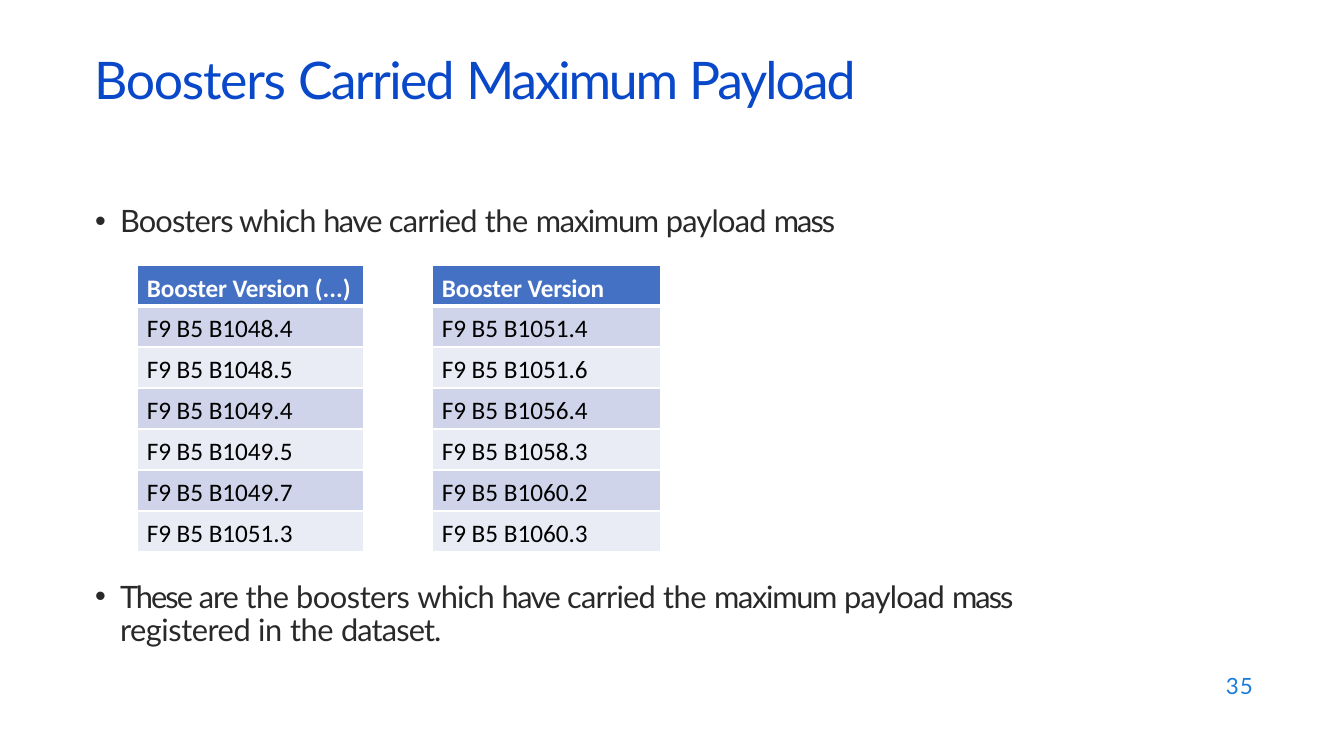
from lxml import etree
from pptx import Presentation
from pptx.dml.color import RGBColor
from pptx.enum.text import MSO_ANCHOR, MSO_AUTO_SIZE, PP_ALIGN
from pptx.oxml.ns import qn
from pptx.util import Emu, Pt

TOP, NO_FIT, LEFT = MSO_ANCHOR.TOP, MSO_AUTO_SIZE.NONE, PP_ALIGN.LEFT
PX_PER_INCH = 100.8
COLORS = {
    "title": "0A48CA", "body": "292929", "number": "1C7CDB",
    "header": "4471C4", "odd": "CFD4EA", "even": "E9EBF5",
    "white": "FFFFFF", "black": "000000",
}
LATO, CALIBRI = "Lato", "Calibri"

# Runs are (text, letter spacing in points).
TITLE = [("Boosters ", -0.9), ("Carried ", -1.2), ("Maximum ", -1.6), ("Payload", -1.4)]
CARRIED = [("have ", -1.1), ("carried ", -0.5), ("the ", -0.3), ("maximum ", -0.9),
           ("payload ", -0.5)]
INTRO = [("Boosters which ", -0.6), *CARRIED, ("mass", -1.4)]
CONCLUSION = [("These ", -1.4), ("are ", -0.8), ("the boosters ", -0.3), ("which ", -0.6),
              *CARRIED, ("mass ", -1.4), ("registered ", -0.3), ("in ", -0.2),
              ("the ", -0.3), ("dataset.", -0.6)]
HEADER = [("Booster ", -0.1), ("Version", -0.2)]
LEFT_BOOSTERS = ["B1048.4", "B1048.5", "B1049.4", "B1049.5", "B1049.7", "B1051.3"]
RIGHT_BOOSTERS = ["B1051.4", "B1051.6", "B1056.4", "B1058.3", "B1060.2", "B1060.3"]


def px(n):
    return Emu(round(n * 914400 / PX_PER_INCH))


def rgb(name):
    return RGBColor.from_string(COLORS[name])


def add_runs(p, runs, font, size, color, bold=False):
    for text, spacing in runs:
        r = p.add_run()
        r.text = text
        r.font.name, r.font.size, r.font.bold = font, Pt(size), bold
        r.font.color.rgb = rgb(color)
        r.font._element.set("spc", str(round(spacing * 100)))


def set_frame(sp, box, top=0):
    """Place a text shape and return its first paragraph, ready for runs."""
    sp.left, sp.top, sp.width, sp.height = map(px, box)
    tf = sp.text_frame
    tf.word_wrap, tf.auto_size, tf.vertical_anchor = True, NO_FIT, TOP
    tf.margin_left = tf.margin_right = tf.margin_bottom = 0
    tf.margin_top = px(top)
    p = tf.paragraphs[0]
    p.alignment, p.space_before, p.line_spacing = LEFT, Pt(0), 1.0
    return p


def add_title(s, box):
    p = set_frame(s.shapes.title, box, top=2)
    add_runs(p, TITLE, LATO, 37, "title")


def add_bullet(sp, box, runs, top, line=None):
    p = set_frame(sp, box, top)
    if line:
        p.line_spacing = Pt(line)
    pPr = p._p.get_or_add_pPr()
    pPr.set("marL", str(px(26)))
    pPr.set("indent", str(px(-25)))
    etree.SubElement(pPr, qn("a:buFont"), typeface="Arial")
    etree.SubElement(pPr, qn("a:buChar"), char="•")
    add_runs(p, runs, LATO, 22, "body")


def set_borders(cell, top, bottom):
    """Draw white cell borders; top and bottom widths are in points."""
    tcPr = cell._tc.get_or_add_tcPr()
    widths = {"a:lnL": 1, "a:lnR": 1, "a:lnT": top, "a:lnB": bottom}
    for i, (tag, width) in enumerate(widths.items()):
        ln = etree.Element(qn(tag), w=str(Pt(width)))
        fill = etree.SubElement(ln, qn("a:solidFill"))
        etree.SubElement(fill, qn("a:srgbClr"), val=COLORS["white"])
        tcPr.insert(i, ln)


def add_booster_table(s, box, header, boosters):
    rows = [header] + [[("F9 ", -0.1), (f"B5 {b}", 0)] for b in boosters]
    table = s.shapes.add_table(len(rows), 1, *map(px, box)).table
    for i, runs in enumerate(rows):
        table.rows[i].height = px(box[3] // len(rows))
        cell = table.cell(i, 0)
        cell.margin_left, cell.margin_top = px(10), px(8)
        cell.margin_right = cell.margin_bottom = 0
        cell.vertical_anchor = TOP
        cell.fill.solid()
        fill = "header" if i == 0 else "odd" if i % 2 else "even"
        cell.fill.fore_color.rgb = rgb(fill)
        set_borders(cell, top=3 if i == 1 else 1, bottom=3 if i == 0 else 1)
        color = "white" if i == 0 else "black"
        add_runs(cell.text_frame.paragraphs[0], runs, CALIBRI, 18, color, bold=i == 0)


def add_page_number(s, box):
    p = set_frame(s.shapes.add_textbox(0, 0, 0, 0), box)
    p.line_spacing = Pt(18.4)
    p._p.get_or_add_pPr().set("marL", str(px(4)))
    add_runs(p, [("35", 0.8)], LATO, 16, "number")


def main():
    prs = Presentation()
    prs.slide_width, prs.slide_height = px(1344), px(756)
    s = prs.slides.add_slide(prs.slide_layouts.get_by_name("Two Content"))
    intro, conclusion = s.placeholders[1], s.placeholders[2]
    add_title(s, (94, 46, 787, 66))
    add_bullet(intro, (94, 200, 770, 39), INTRO, top=2)
    add_booster_table(s, (137, 265, 227, 287), HEADER + [(" (...)", 0)], LEFT_BOOSTERS)
    add_booster_table(s, (432, 265, 229, 287), HEADER, RIGHT_BOOSTERS)
    add_bullet(conclusion, (94, 570, 956, 74), CONCLUSION, top=11, line=23.8)
    add_page_number(s, (1222, 673, 35, 28))
    prs.save("out.pptx")


if __name__ == "__main__":
    main()
